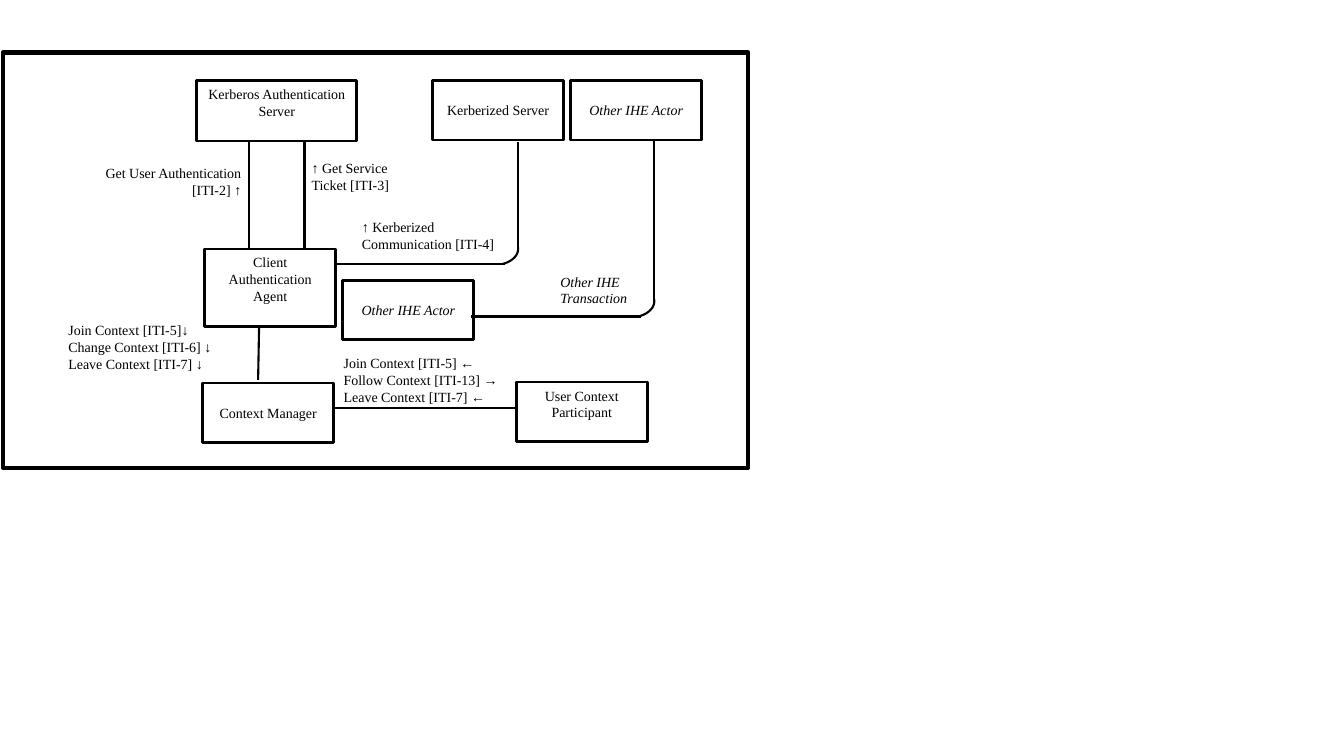
"""Builds the slide with the actors and transactions of context and authentication."""
from lxml.etree import SubElement
from pptx import Presentation
from pptx.dml.color import RGBColor
from pptx.enum.shapes import MSO_CONNECTOR as CONNECTOR, MSO_SHAPE as SHAPE
from pptx.enum.text import MSO_ANCHOR as ANCHOR, PP_ALIGN as ALIGN
from pptx.oxml.ns import qn
from pptx.util import Inches, Pt

FONT, SIZE = "Times New Roman", 10
BLACK, WHITE = "000000", "FFFFFF"
FRAME = (0.03, 0.52, 7.39, 4.12)
WIDE, HIGH = 1.3, 0.59

# text, (left, top, width, height), anchor, italic
ACTORS = [
    ("Kerberos Authentication Server", (1.95, 0.8, 1.59, 0.6), ANCHOR.TOP, False),
    ("Client Authentication Agent", (2.03, 2.47, WIDE, 0.77), ANCHOR.TOP, False),
    ("Kerberized Server", (4.29, 0.8, WIDE, HIGH), ANCHOR.MIDDLE, False),
    ("Other IHE Actor", (5.66, 0.8, WIDE, HIGH), ANCHOR.MIDDLE, True),
    ("Other IHE Actor", (3.4, 2.78, WIDE, HIGH), ANCHOR.MIDDLE, True),
    ("Context Manager", (2.01, 3.8, WIDE, HIGH), ANCHOR.MIDDLE, False),
    ("User Context Participant", (5.12, 3.79, WIDE, HIGH), ANCHOR.TOP, False),
]

# lines, (left, top, width, height), alignment, italic, (side inset, top inset)
TRANSACTIONS = [
    (["↑ Kerberized Communication [ITI-4]"], (3.57, 2.15, 1.46, 0.44), ALIGN.LEFT, False, (0.02, 0.02)),
    (["Get User Authentication [ITI-2] ↑"], (0.84, 1.58, 1.65, 0.5), ALIGN.RIGHT, False, (0.1, 0.05)),
    (["↑ Get Service Ticket [ITI-3]"], (3.09, 1.58, 1.12, 0.46), ALIGN.LEFT, False, (0, 0)),
    (["Other IHE Transaction"], (5.46, 2.66, 0.98, 0.44), ALIGN.LEFT, True, (0.1, 0.05)),
    (["Join Context [ITI-5]↓", "Change Context [ITI-6] ↓", "Leave Context [ITI-7] ↓"],
     (0.58, 3.14, 1.74, 0.76), ALIGN.LEFT, False, (0.1, 0.05)),
    (["Join Context [ITI-5] ←", "Follow Context [ITI-13] →", "Leave Context [ITI-7] ←"],
     (3.31, 3.47, 1.95, 0.76), ALIGN.LEFT, False, (0.1, 0.05)),
]

SERVER_LINKS = [((2.47, 1.25), (2.47, 2.49)), ((3.02, 1.25), (3.02, 2.48))]
CONTEXT_LINKS = [((2.57, 3.24), (2.56, 3.77)), ((3.31, 4.05), (5.12, 4.05))]

# start x, corner (x, y), end y
BENT_LINKS = [(4.67, (6.49, 3.14), 1.39), (3.33, (5.14, 2.62), 1.41)]
BEND = [(-0.16, 0), (-0.07, -0.02), (0, -0.08), (0, -0.15)]
BEND_END, BEND_STEPS = (0, -0.17), 12


def color(hex_code):
    return RGBColor.from_string(hex_code)


def outline(shape, width):
    shape.line.color.rgb = color(BLACK)
    shape.line.width = Pt(width)


def write(shape, lines, align, italic, anchor=ANCHOR.TOP, insets=(0.1, 0.05)):
    frame = shape.text_frame
    frame.word_wrap = True
    frame.vertical_anchor = anchor
    frame.margin_left = frame.margin_right = Inches(insets[0])
    frame.margin_top = frame.margin_bottom = Inches(insets[1])
    frame.text = "\n".join(lines)
    for paragraph in frame.paragraphs:
        paragraph.alignment = align
        font = paragraph.font
        font.name, font.size, font.italic = FONT, Pt(SIZE), italic
        font.color.rgb = color(BLACK)


def add_box(shapes, place):
    box = shapes.add_shape(SHAPE.RECTANGLE, *map(Inches, place))
    box.shadow.inherit = False
    return box


def add_link(shapes, start, end):
    link = shapes.add_connector(CONNECTOR.STRAIGHT, *map(Inches, start + end))
    outline(link, 1.5)
    SubElement(link._element.spPr, qn("a:effectLst"))


def bend_point(t):
    weights = ((1 - t) ** 3, 3 * t * (1 - t) ** 2, 3 * t * t * (1 - t), t ** 3)
    return tuple(sum(w * p[axis] for w, p in zip(weights, BEND)) for axis in (0, 1))


def add_bent_link(shapes, start_x, corner, end_y):
    x, y = corner
    add_link(shapes, (start_x, y), (x - 0.13, y))
    add_link(shapes, (x, end_y), (x, y - 0.13))
    offsets = [bend_point(step / BEND_STEPS) for step in range(BEND_STEPS + 1)] + [BEND_END]
    points = [(Inches(x + dx), Inches(y + dy)) for dx, dy in offsets]
    builder = shapes.build_freeform(*points[0])
    builder.add_line_segments(points[1:], close=False)
    bend = builder.convert_to_shape()
    bend.shadow.inherit = False
    bend.fill.background()
    outline(bend, 1.5)


def main():
    deck = Presentation()
    deck.slide_width, deck.slide_height = Inches(13.33), Inches(7.5)
    shapes = deck.slides.add_slide(deck.slide_layouts[6]).shapes

    border = add_box(shapes, FRAME)
    border.fill.background()
    outline(border, 3)

    for start, end in SERVER_LINKS:
        add_link(shapes, start, end)

    for name, place, anchor, italic in ACTORS:
        actor = add_box(shapes, place)
        actor.fill.solid()
        actor.fill.fore_color.rgb = color(WHITE)
        outline(actor, 2)
        write(actor, [name], ALIGN.CENTER, italic, anchor)

    for start, end in CONTEXT_LINKS:
        add_link(shapes, start, end)
    for start_x, corner, end_y in BENT_LINKS:
        add_bent_link(shapes, start_x, corner, end_y)

    for lines, place, align, italic, insets in TRANSACTIONS:
        label = shapes.add_textbox(*map(Inches, place))
        write(label, lines, align, italic, insets=insets)

    deck.save("out.pptx")


if __name__ == "__main__":
    main()
